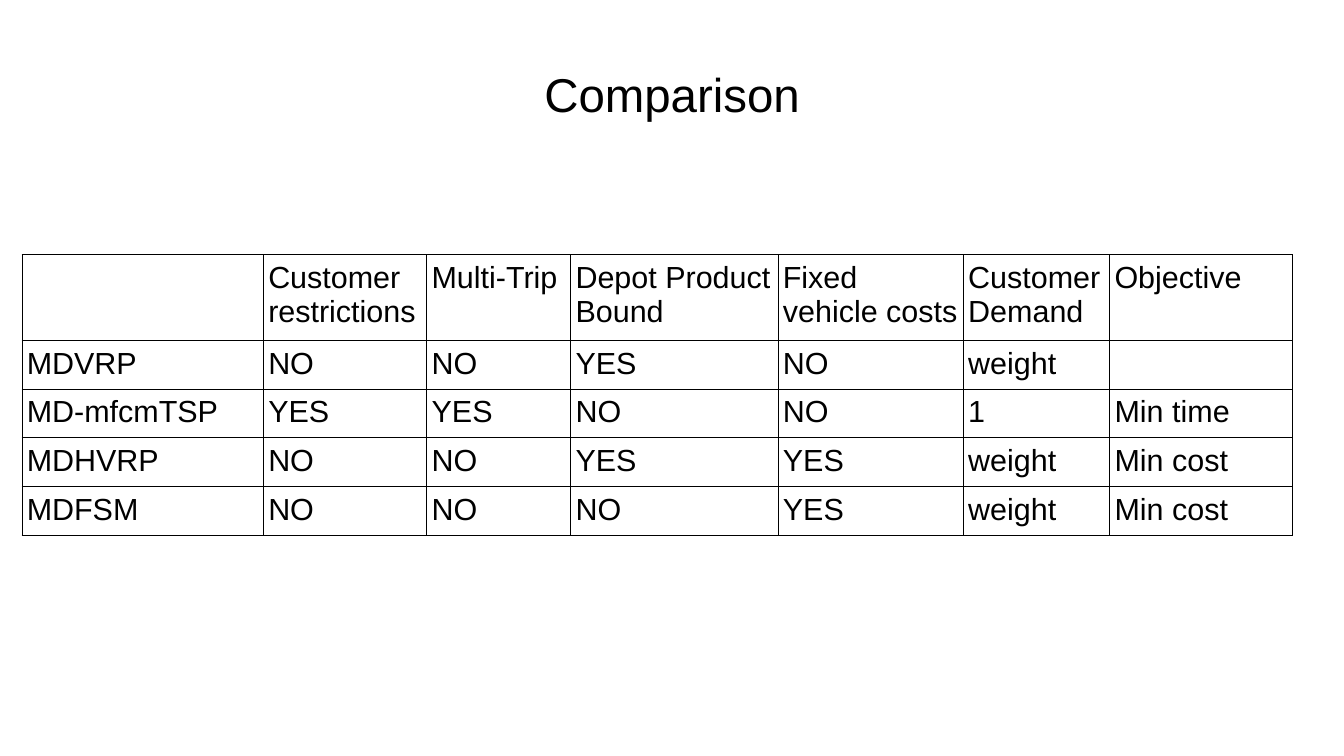
from dataclasses import dataclass

from lxml import etree
from pptx import Presentation
from pptx import util as u
from pptx.dml.color import RGBColor
from pptx.enum import text
from pptx.oxml import ns


@dataclass(frozen=True)
class Theme:
    font: str = "Arial"
    ink: str = "000000"
    title_size: float = 28
    body_size: float = 18
    border_width: float = 0.57


# Slide size in inches, and the grid that divides it
WIDTH, HEIGHT = 11.02, 6.2
GRID_COLUMNS, GRID_ROWS = 551, 310

HEADER = ["", "Customer restrictions", "Multi-Trip", "Depot Product Bound",
          "Fixed vehicle costs", "Customer Demand", "Objective"]
PROBLEMS = [
    ["MDVRP", "NO", "NO", "YES", "NO", "weight", ""],
    ["MD-mfcmTSP", "YES", "YES", "NO", "NO", "1", "Min time"],
    ["MDHVRP", "NO", "NO", "YES", "YES", "weight", "Min cost"],
    ["MDFSM", "NO", "NO", "NO", "YES", "weight", "Min cost"],
]
COLUMN_SPANS = [99, 67, 59, 85, 76, 60, 75]
ROW_SPANS = [35] + [20] * len(PROBLEMS)


def apply_format(target, values):
    for name, value in values.items():
        setattr(target, name, value)


class SlideBuilder:
    def __init__(self, presentation, theme):
        self.theme = theme
        self.slide = presentation.slides.add_slide(presentation.slide_layouts[6])

    def across(self, columns):
        return u.Inches(WIDTH * columns / GRID_COLUMNS)

    def down(self, rows):
        return u.Inches(HEIGHT * rows / GRID_ROWS)

    def put_text(self, frame, content, size, align):
        paragraph = frame.paragraphs[0]
        paragraph.alignment = align
        if content:
            run = paragraph.add_run()
            run.text = content
            apply_format(run.font, {"name": self.theme.font, "size": u.Pt(size)})
            run.font.color.rgb = RGBColor.from_string(self.theme.ink)

    def title(self, content, left, top, columns, rows):
        shape = self.slide.shapes.add_textbox(
            self.across(left), self.down(top), self.across(columns), self.down(rows))
        apply_format(shape.text_frame, {
            "word_wrap": True, "vertical_anchor": text.MSO_ANCHOR.MIDDLE,
            "margin_left": 0, "margin_right": 0, "margin_top": 0, "margin_bottom": 0})
        self.put_text(shape.text_frame, content, self.theme.title_size,
                      text.PP_ALIGN.CENTER)

    def border(self, cell):
        properties = cell._tc.get_or_add_tcPr()
        for side in ("a:lnL", "a:lnR", "a:lnT", "a:lnB"):
            line = etree.SubElement(properties, ns.qn(side),
                                    w=str(int(u.Pt(self.theme.border_width))))
            fill = etree.SubElement(line, ns.qn("a:solidFill"))
            etree.SubElement(fill, ns.qn("a:srgbClr"), val=self.theme.ink)

    def table(self, records, left, top, column_spans, row_spans):
        table = self.slide.shapes.add_table(
            len(row_spans), len(column_spans), self.across(left), self.down(top),
            self.across(sum(column_spans)), self.down(sum(row_spans))).table
        apply_format(table, {"first_row": False, "horz_banding": False})
        for column, span in zip(table.columns, column_spans):
            column.width = self.across(span)
        for row, span, record in zip(table.rows, row_spans, records):
            row.height = self.down(span)
            for cell, content in zip(row.cells, record):
                apply_format(cell, {
                    "margin_left": self.across(2), "margin_right": self.across(2),
                    "margin_top": self.down(2.5), "margin_bottom": self.down(2.5)})
                self.border(cell)
                cell.fill.background()
                self.put_text(cell.text_frame, content, self.theme.body_size,
                              text.PP_ALIGN.LEFT)


def main():
    presentation = Presentation()
    apply_format(presentation, {"slide_width": u.Inches(WIDTH),
                                "slide_height": u.Inches(HEIGHT)})
    builder = SlideBuilder(presentation, Theme())

    # Heading
    builder.title("Comparison", left=27.5, top=12.5, columns=496, rows=52)

    # Routing problems and their features
    builder.table([HEADER] + PROBLEMS, left=9, top=104.5,
                  column_spans=COLUMN_SPANS, row_spans=ROW_SPANS)

    presentation.save("out.pptx")


if __name__ == "__main__":
    main()
